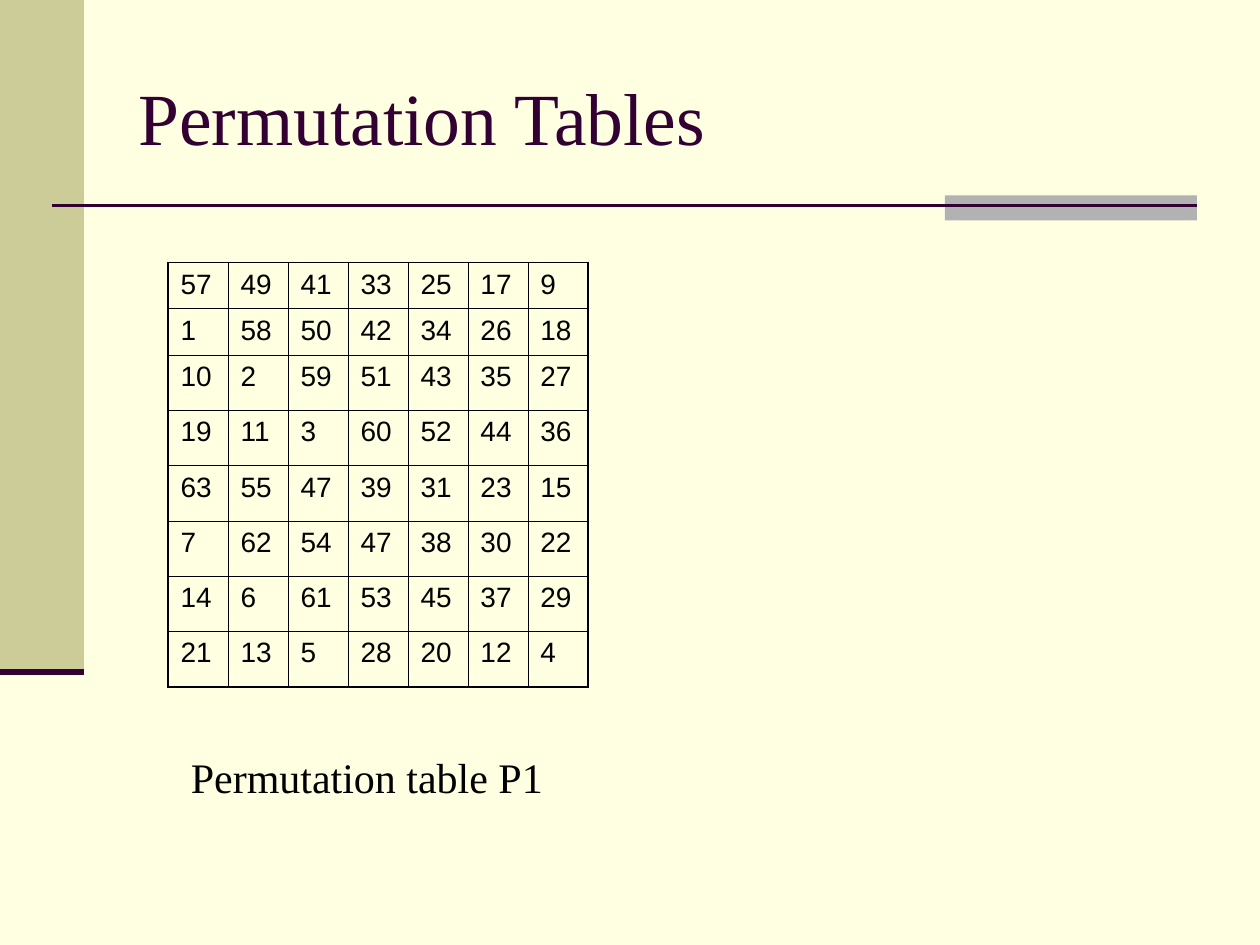
from lxml.etree import SubElement
from pptx import Presentation
from pptx.dml.color import RGBColor
from pptx.enum.shapes import MSO_CONNECTOR as Connector, MSO_SHAPE as Shape
from pptx.enum.text import MSO_ANCHOR as Anchor
from pptx.oxml.ns import qn
from pptx.util import Pt

CREAM, KHAKI, GREY, PLUM, BLACK = "FFFFE1", "CCCC99", "B2B2B2", "330033", "000000"
SERIF, SANS = "Times New Roman", "Arial"
INNER, OUTER = 0.45, 1.08  # table border widths

P1 = [
    [57, 49, 41, 33, 25, 17, 9],
    [1, 58, 50, 42, 34, 26, 18],
    [10, 2, 59, 51, 43, 35, 27],
    [19, 11, 3, 60, 52, 44, 36],
    [63, 55, 47, 39, 31, 23, 15],
    [7, 62, 54, 47, 38, 30, 22],
    [14, 6, 61, 53, 45, 37, 29],
    [21, 13, 5, 28, 20, 12, 4],
]
ROW_HEIGHTS = [26.5] * 2 + [31.6] * 6


def color(code):
    return RGBColor.from_string(code)


def write(frame, text, size, face, ink):
    frame.text = text
    font = frame.paragraphs[0].runs[0].font
    font.size, font.name = Pt(size), face
    font.color.rgb = color(ink)


def add_block(slide, box, fill):
    block = slide.shapes.add_shape(Shape.RECTANGLE, *map(Pt, box))
    block.shadow.inherit = False
    block.fill.solid()
    block.fill.fore_color.rgb = color(fill)
    block.line.fill.background()


def add_rule(slide, left, right, y, width):
    rule = slide.shapes.add_connector(Connector.STRAIGHT, Pt(left), Pt(y), Pt(right), Pt(y))
    rule.line.color.rgb = color(PLUM)
    rule.line.width = Pt(width)
    SubElement(rule._element.spPr, qn("a:effectLst"))


def add_text(slide, box, text, size, ink, anchor):
    label = slide.shapes.add_textbox(*map(Pt, box)).text_frame
    label.word_wrap = True
    label.vertical_anchor = anchor
    write(label, text, size, SERIF, ink)


def add_decoration(slide, box):
    left, top, width, height = box
    rule_y = top + 117.6
    # Side band with its closing rule
    add_block(slide, (left, top, 48, height), KHAKI)
    # Title rule with its grey end
    add_block(slide, (left + width - 144, rule_y - 6, 144, 14.4), GREY)
    add_rule(slide, left + 30, left + width, rule_y, 1.5)
    add_rule(slide, left, left + 48, top + height, 3.5)


def set_border(cell, side, width):
    line = SubElement(cell._tc.get_or_add_tcPr(), qn(f"a:ln{side}"), w=str(Pt(width)))
    fill = SubElement(line, qn("a:solidFill"))
    SubElement(fill, qn("a:srgbClr"), val=BLACK)


def add_permutation_table(slide, box, values):
    rows, cols = len(values), len(values[0])
    table = slide.shapes.add_table(rows, cols, *map(Pt, box)).table
    table.first_row = table.horz_banding = False
    for column in table.columns:
        column.width = Pt(box[2] / cols)
    for row, height in zip(table.rows, ROW_HEIGHTS):
        row.height = Pt(height)
    for r, numbers in enumerate(values):
        for c, number in enumerate(numbers):
            cell = table.cell(r, c)
            write(cell.text_frame, str(number), 16, SANS, BLACK)
            # Heavier border on the outside edges
            edges = {"L": c == 0, "R": c == cols - 1, "T": r == 0, "B": r == rows - 1}
            for side, outside in edges.items():
                set_border(cell, side, OUTER if outside else INNER)
            cell.fill.background()


def main():
    deck = Presentation()
    deck.slide_width, deck.slide_height = Pt(720), Pt(540)
    slide = deck.slides.add_slide(deck.slide_layouts[6])
    slide.background.fill.solid()
    slide.background.fill.fore_color.rgb = color(CREAM)

    add_decoration(slide, (0, 0, 684, 384))
    add_text(slide, (72, 21.6, 612, 90), "Permutation Tables", 42, PLUM, Anchor.MIDDLE)
    add_permutation_table(slide, (96, 150, 240, sum(ROW_HEIGHTS)), P1)
    add_text(slide, (102, 426, 222, 36), "Permutation table P1", 24, BLACK, Anchor.TOP)
    deck.save("out.pptx")


if __name__ == "__main__":
    main()
